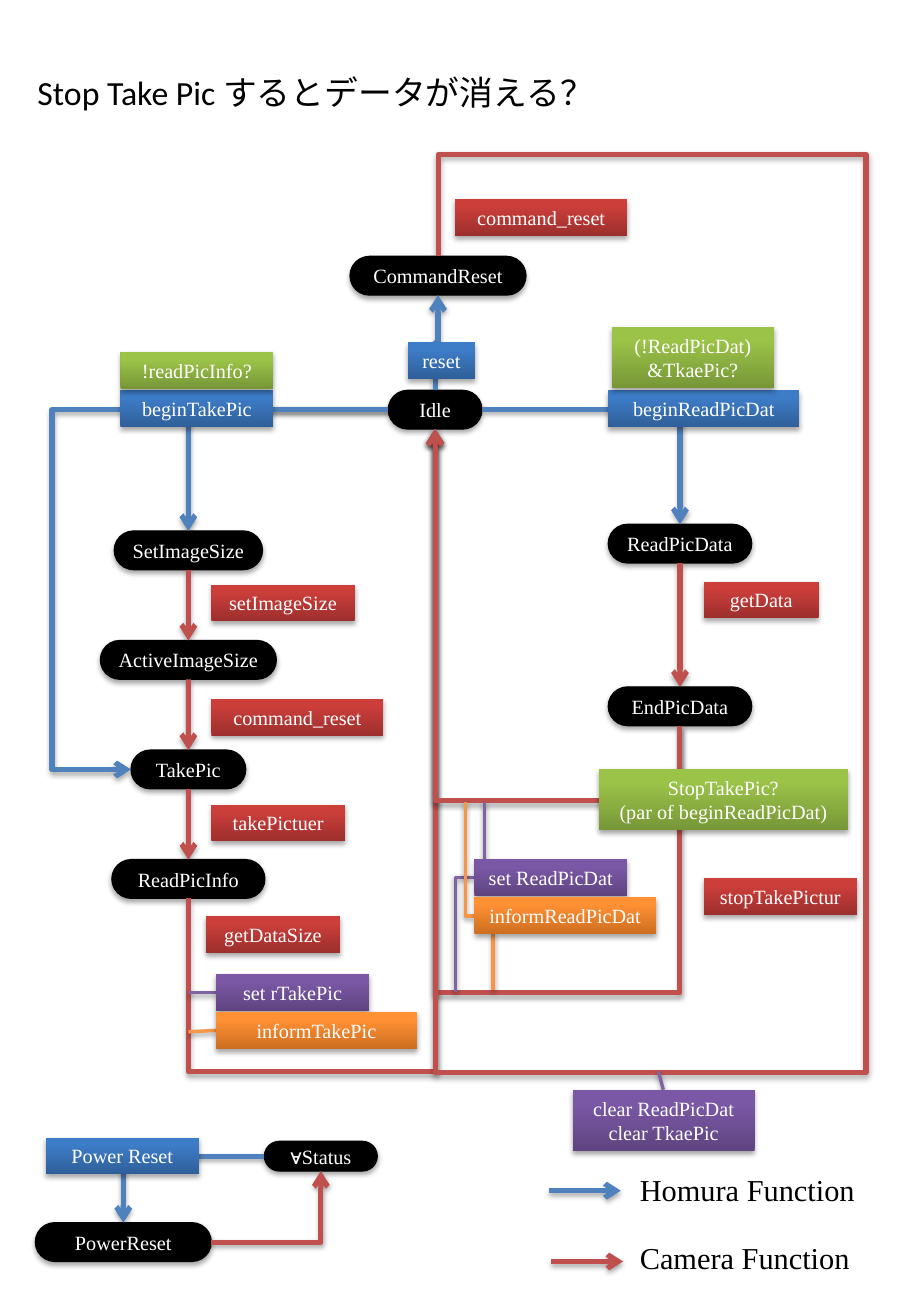
from dataclasses import dataclass

from lxml.etree import SubElement
from pptx import Presentation
from pptx.dml.color import RGBColor
from pptx.enum.shapes import MSO_CONNECTOR, MSO_SHAPE
from pptx.enum.text import MSO_ANCHOR, MSO_AUTO_SIZE, PP_ALIGN
from pptx.oxml.ns import qn
from pptx.util import Cm, Pt

TITLE = "Stop Take Pic するとデータが消える？"
LEFT_COLUMN, RIGHT_COLUMN = 3.94, 14.22
NODE_HEIGHT = 0.81

# States: name, centre x, top, width, height (cm)
NODES = [
    ("Idle", 9.1, 8.16, 1.96, NODE_HEIGHT),
    ("CommandReset", 9.16, 5.36, 3.68, NODE_HEIGHT),
    ("SetImageSize", LEFT_COLUMN, 11.1, 3.1, NODE_HEIGHT),
    ("ActiveImageSize", LEFT_COLUMN, 13.39, 3.68, NODE_HEIGHT),
    ("TakePic", LEFT_COLUMN, 15.68, 2.4, NODE_HEIGHT),
    ("ReadPicInfo", LEFT_COLUMN, 17.97, 3.2, NODE_HEIGHT),
    ("ReadPicData", RIGHT_COLUMN, 10.96, 3, NODE_HEIGHT),
    ("EndPicData", RIGHT_COLUMN, 14.36, 3, NODE_HEIGHT),
    ("PowerReset", 2.58, 25.56, 3.68, NODE_HEIGHT),
    ("∀Status", 6.71, 23.86, 2.36, 0.62),
]

# Transitions: actor, from, side, to, side, channels the line runs along (cm)
ROUTES = [
    ("camera", "SetImageSize", "bottom", "ActiveImageSize", "top", ()),
    ("camera", "ActiveImageSize", "bottom", "TakePic", "top", ()),
    ("camera", "TakePic", "bottom", "ReadPicInfo", "top", ()),
    ("homura", "Idle", "left", "TakePic", "left", (1.09,)),
    ("camera", "ReadPicInfo", "bottom", "Idle", "bottom", (22.4,)),
    ("camera", "ReadPicData", "bottom", "EndPicData", "top", ()),
    ("homura", "Idle", "left", "SetImageSize", "top", ()),
    ("homura", "Idle", "right", "ReadPicData", "top", ()),
    ("camera", "EndPicData", "bottom", "Idle", "bottom", (20.75,)),
    ("camera", "CommandReset", "top", "Idle", "bottom", (3.23, 18.11, 22.42)),
    ("homura", "Idle", "top", "CommandReset", "bottom", (7.16,)),
    ("camera", "EndPicData", "bottom", "Idle", "bottom", (16.74,)),
    ("homura", "∀Status", "left", "PowerReset", "top", ()),
    ("camera", "PowerReset", "right", "∀Status", "bottom", ()),
]

# Thin lines from a flag or notice to its transition: kind, start, end, bent
TAILS = [
    ("flag", (3.94, 20.75), (4.52, 20.75), False),
    ("notice", (3.94, 21.57), (4.52, 21.54), False),
    ("flag", (13.77, 22.4), (13.87, 22.78), False),
    ("flag", (10.13, 17.96), (10.13, 16.76), False),
    ("notice", (10.31, 19.51), (10.31, 20.7), False),
    ("flag", (9.53, 20.73), (9.92, 18.34), True),
    ("notice", (9.73, 16.76), (9.92, 19.15), True),
]

# Labels: kind, text, left, top, width (cm)
LABELS = [
    ("camera", "setImageSize", 4.42, 12.22, 3),
    ("camera", "command_reset", 4.42, 14.61, 3.6),
    ("camera", "takePictuer", 4.42, 16.82, 2.8),
    ("camera", "getDataSize", 4.31, 19.15, 2.8),
    ("flag", "set rTakePic", 4.52, 20.36, 3.2),
    ("notice", "informTakePic", 4.52, 21.16, 4.2),
    ("camera", "getData", 14.72, 12.16, 2.4),
    ("camera", "stopTakePictur", 14.72, 18.36, 3.2),
    ("flag", "set ReadPicDat", 9.92, 17.96, 3.2),
    ("notice", "informReadPicDat", 9.92, 18.76, 3.8),
    ("homura", "beginTakePic", 2.52, 8.16, 3.2),
    ("homura", "beginReadPicDat", 12.72, 8.16, 4),
    ("camera", "command_reset", 9.52, 4.16, 3.6),
    ("homura", "reset", 8.53, 7.16, 1.4),
    ("guard", "!readPicInfo?", 2.52, 7.36, 3.2),
    ("guard", "(!ReadPicDat)\n&TkaePic?", 12.79, 6.84, 3.4),
    ("flag", "clear ReadPicDat\nclear TkaePic", 11.98, 22.79, 3.8),
    ("guard", "StopTakePic?\n(par of beginReadPicDat)", 12.53, 16.08, 5.2),
    ("homura", "Power Reset", 0.96, 23.78, 3.2),
]

# Legend: actor, text, arrow left, arrow y, text top, text width (cm)
LEGEND = [
    ("homura", "Homura Function", 11.48, 24.89, 24.36, 5.41),
    ("camera", "Camera Function", 11.53, 26.37, 25.78, 5),
]


@dataclass(frozen=True)
class Theme:
    title_font = "Calibri"
    body_font = "Times New Roman"
    title_size, legend_size, label_size = Pt(20), Pt(18), Pt(12)
    route_width, tail_width, outline_width = Pt(3), Pt(2), Pt(0.75)
    black, white = "000000", "FFFFFF"
    lines = {"homura": "4F81BD", "camera": "C0504D", "flag": "8064A2", "notice": "F79646"}
    gradients = {
        "homura": ("2F5F99", "3D7CC7"), "camera": ("9C2F2D", "CB3E3A"),
        "flag": ("5F4480", "7B58A6"), "notice": ("CC6E20", "FF9034"),
        "guard": ("779737", "9BC348"),
    }


THEME = Theme()
SIDES = {"top": (0, 0.5, 0), "left": (1, 0, 0.5), "bottom": (2, 0.5, 1), "right": (3, 1, 0.5)}


def add_soft_shadow(shape, opacity=35000, distance=23000):
    effects = SubElement(shape._element.spPr, qn("a:effectLst"))
    shadow = SubElement(effects, qn("a:outerShdw"), blurRad="40000", dist=str(distance),
                        dir="5400000", rotWithShape="0")
    color = SubElement(shadow, qn("a:srgbClr"), val=THEME.black)
    SubElement(color, qn("a:alpha"), val=str(opacity))


def write(shape, text, font, size, color, align, anchor=MSO_ANCHOR.TOP):
    frame = shape.text_frame
    frame.text = text
    frame.word_wrap = True
    frame.vertical_anchor = anchor
    for para in frame.paragraphs:
        para.alignment = align
        for span in para.runs:
            span.font.name, span.font.size = font, size
            span.font.color.rgb = RGBColor.from_string(color)


def add_node(page, name, center, top, width, height):
    node = page.shapes.add_shape(MSO_SHAPE.ROUNDED_RECTANGLE, Cm(center - width / 2),
                                 Cm(top), Cm(width), Cm(height))
    node.adjustments[0] = 0.5
    node.fill.solid()
    node.fill.fore_color.rgb = node.line.color.rgb = RGBColor.from_string(THEME.black)
    node.line.width = THEME.outline_width
    add_soft_shadow(node)
    write(node, name, THEME.body_font, THEME.label_size, THEME.white,
          PP_ALIGN.CENTER, MSO_ANCHOR.MIDDLE)
    return node


def add_label(page, kind, text, left, top, width):
    height = 1.28 if "\n" in text else 0.77
    label = page.shapes.add_shape(MSO_SHAPE.RECTANGLE, Cm(left), Cm(top), Cm(width), Cm(height))
    label.fill.gradient()
    label.fill.gradient_angle = 90
    for stop, color, position in zip(label.fill.gradient_stops, THEME.gradients[kind], (0, 0.8)):
        stop.color.rgb, stop.position = RGBColor.from_string(color), position
    label.line.fill.background()
    add_soft_shadow(label)
    write(label, text, THEME.body_font, THEME.label_size, THEME.white, PP_ALIGN.CENTER)
    label.text_frame.auto_size = MSO_AUTO_SIZE.SHAPE_TO_FIT_TEXT


def add_line(page, kind, start, end, arrow=True):
    line = page.shapes.add_connector(MSO_CONNECTOR.STRAIGHT, *start, *end)
    line.line.color.rgb = RGBColor.from_string(THEME.lines[kind])
    line.line.width = THEME.route_width if arrow else THEME.tail_width
    if arrow:
        SubElement(line.line._get_or_add_ln(), qn("a:tailEnd"), type="arrow")
        add_soft_shadow(line)
    else:
        add_soft_shadow(line, 38000, 20000)
    return line


def bend(line, start, end, upright, channels=()):
    """Turn a line into an elbow; upright means that it leaves vertically."""
    axis = 1 if upright else 0
    run, rise = end[axis] - start[axis], end[1 - axis] - start[1 - axis]
    width, height = abs(run), abs(rise)
    line.left = round((start[0] + end[0] - width) / 2)
    line.top = round((start[1] + end[1] - height) / 2)
    line.width, line.height = width, height
    frame = line._element.spPr.find(qn("a:xfrm"))
    frame.set("rot", "5400000" if upright else "0")
    frame.set("flipH", str(int(run < 0)))
    frame.set("flipV", str(int((-rise if upright else rise) < 0)))
    geometry = line._element.spPr.find(qn("a:prstGeom"))
    geometry.set("prst", f"bentConnector{len(channels) + 2}")
    guides = geometry.find(qn("a:avLst"))
    for number, channel in enumerate(channels):
        origin, span = (start[1 - axis], rise) if number % 2 else (start[axis], run)
        ratio = round((Cm(channel) - origin) / span * 100000)
        SubElement(guides, qn("a:gd"), name=f"adj{number + 1}", fmla=f"val {ratio}")


def side_point(node, side):
    _, across, down = SIDES[side]
    return round(node.left + node.width * across), round(node.top + node.height * down)


def add_route(page, nodes, kind, origin, leave, target, arrive, channels):
    start, end = side_point(nodes[origin], leave), side_point(nodes[target], arrive)
    line = add_line(page, kind, start, end)
    line.begin_connect(nodes[origin], SIDES[leave][0])
    line.end_connect(nodes[target], SIDES[arrive][0])
    upright = leave in ("top", "bottom")
    if channels or upright != (arrive in ("top", "bottom")):
        bend(line, start, end, upright, channels)


def main():
    deck = Presentation()
    deck.slide_width, deck.slide_height = Cm(19.05), Cm(27.51)
    page = deck.slides.add_slide(deck.slide_layouts[5])
    title = page.shapes.title
    title.left, title.top, title.width, title.height = Cm(0.53), Cm(1.37), Cm(12.8), Cm(1.11)
    write(title, TITLE, THEME.title_font, THEME.title_size, THEME.black, PP_ALIGN.LEFT)
    nodes = {node[0]: add_node(page, *node) for node in NODES}
    for route in ROUTES:
        add_route(page, nodes, *route)
    for kind, start, end, bent in TAILS:
        start, end = tuple(map(Cm, start)), tuple(map(Cm, end))
        tail = add_line(page, kind, start, end, arrow=False)
        if bent:
            bend(tail, start, end, upright=True)
    for label in LABELS:
        add_label(page, *label)
    for kind, text, left, middle, top, width in LEGEND:
        add_line(page, kind, (Cm(left), Cm(middle)), (Cm(left + 1.5), Cm(middle)))
        caption = page.shapes.add_textbox(Cm(13.13), Cm(top), Cm(width), Cm(1.02))
        write(caption, text, THEME.body_font, THEME.legend_size, THEME.black, PP_ALIGN.LEFT)
    deck.save("out.pptx")


if __name__ == "__main__":
    main()
